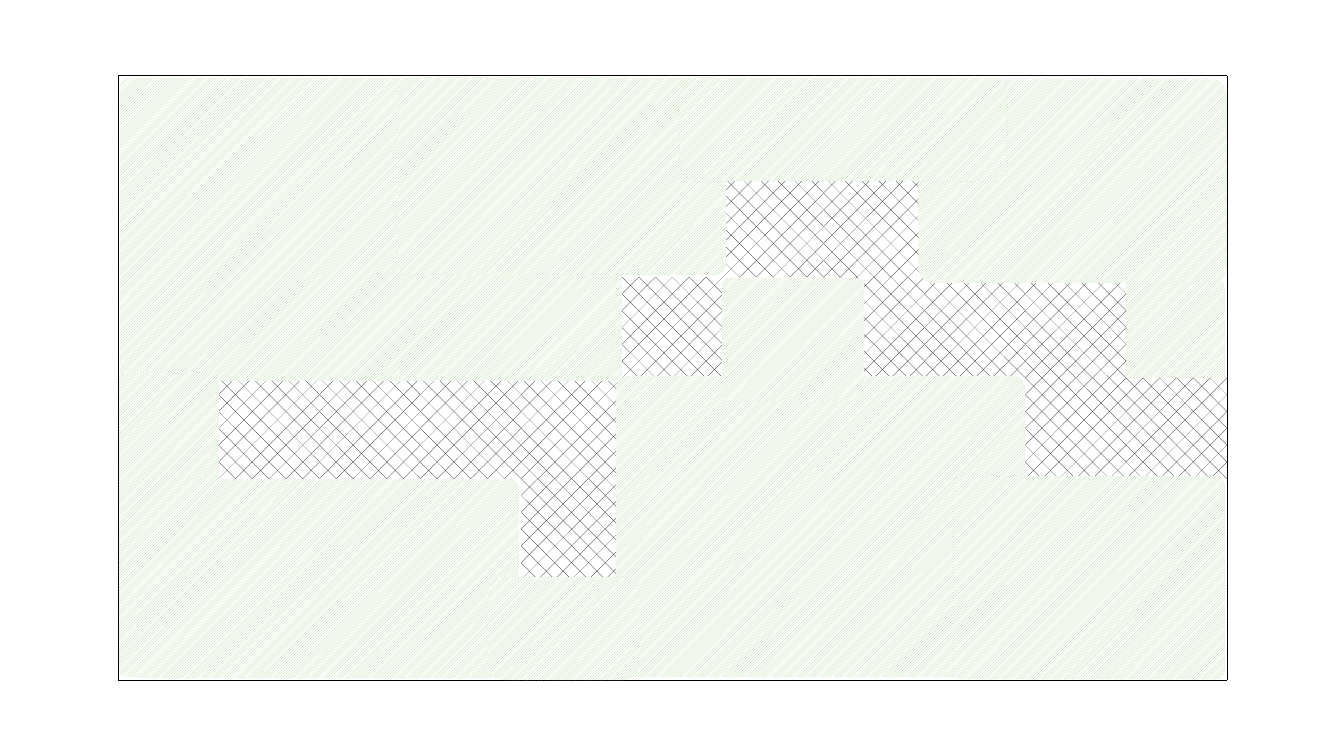
import pptx
import pptx.util
import pptx.dml.color
import pptx.enum.dml
import pptx.enum.shapes
import lxml.etree

PX = 9144  # EMU per px, 100 px to the inch
COLORS = {"black": "000000", "white": "FFFFFF", "green": "A9D18E"}
PATTERN = pptx.enum.dml.MSO_PATTERN
SHAPE = pptx.enum.shapes.MSO_SHAPE

# Field: 11 columns by 6 rows of square cells
LEFT, TOP, CELL = 117, 75, 100
RIGHT, BOTTOM = LEFT + 11 * CELL, TOP + 6 * CELL

# Path cells as (row, columns)
PATH_CELLS = [(3, (1, 2, 3, 4)), (4, (4,)), (2, (5,)), (1, (6, 7)),
              (2, (7, 8, 9)), (3, (9, 10))]

# Grass patches as (left, top, width, height, corner radius ratio)
EDGE_GRASS = (1103, 273, 112, 122, 0.12)
GRASS = [
    (119, 77, 498, 301, 0.03),
    (118, 369, 99, 303, 0.08),
    (135, 475, 380, 198, 0.05),
    (611, 373, 406, 299, 0.04),
    (484, 572, 151, 103, 0.17),
    (911, 78, 306, 203, 0.08),
    (395, 77, 325, 196, 0.05),
    (674, 77, 325, 103, 0.17),
    (945, 472, 270, 202, 0.04),
    (716, 276, 141, 122, 0.04),
]


def px(*lengths):
    return [pptx.util.Emu(length * PX) for length in lengths]


def color(name):
    return pptx.dml.color.RGBColor.from_string(COLORS[name])


def add_patterned(page, kind, bounds, pattern, ink):
    shape = page.shapes.add_shape(kind, *px(*bounds))
    shape.shadow.inherit = False
    shape.line.fill.background()
    shape.fill.patterned()
    shape.fill.pattern = pattern
    shape.fill.fore_color.rgb = color(ink)
    shape.fill.back_color.rgb = color("white")
    return shape


def add_grass(page, left, top, width, height, radius):
    patch = add_patterned(page, SHAPE.ROUNDED_RECTANGLE,
                          (left, top, width, height),
                          PATTERN.DARK_UPWARD_DIAGONAL, "green")
    patch.adjustments[0] = radius


def add_path_cell(page, row, column):
    bounds = (LEFT + column * CELL, TOP + row * CELL, CELL, CELL)
    add_patterned(page, SHAPE.RECTANGLE, bounds, PATTERN.DIAGONAL_BRICK, "black")


def add_border(page, *ends):
    border = page.shapes.add_connector(
        pptx.enum.shapes.MSO_CONNECTOR.STRAIGHT, *px(*ends))
    border.line.color.rgb = color("black")
    border.line.width = pptx.util.Pt(0.5)
    lxml.etree.SubElement(border.element.spPr,
                          pptx.oxml.ns.qn("a:effectLst"))


def main():
    deck = pptx.Presentation()
    deck.slide_width, deck.slide_height = px(1333, 750)
    page = deck.slides.add_slide(deck.slide_layouts[6])

    # Field border, with the patch that lies over its right side
    add_border(page, RIGHT, TOP, RIGHT, BOTTOM)
    add_grass(page, *EDGE_GRASS)
    add_border(page, LEFT, TOP, LEFT, BOTTOM)
    for y in (TOP, BOTTOM):
        add_border(page, LEFT, y, RIGHT, y)

    # Brick path
    for row, columns in PATH_CELLS:
        for column in columns:
            add_path_cell(page, row, column)

    # Grass around the path
    for patch in GRASS:
        add_grass(page, *patch)

    deck.save("out.pptx")


if __name__ == "__main__":
    main()
